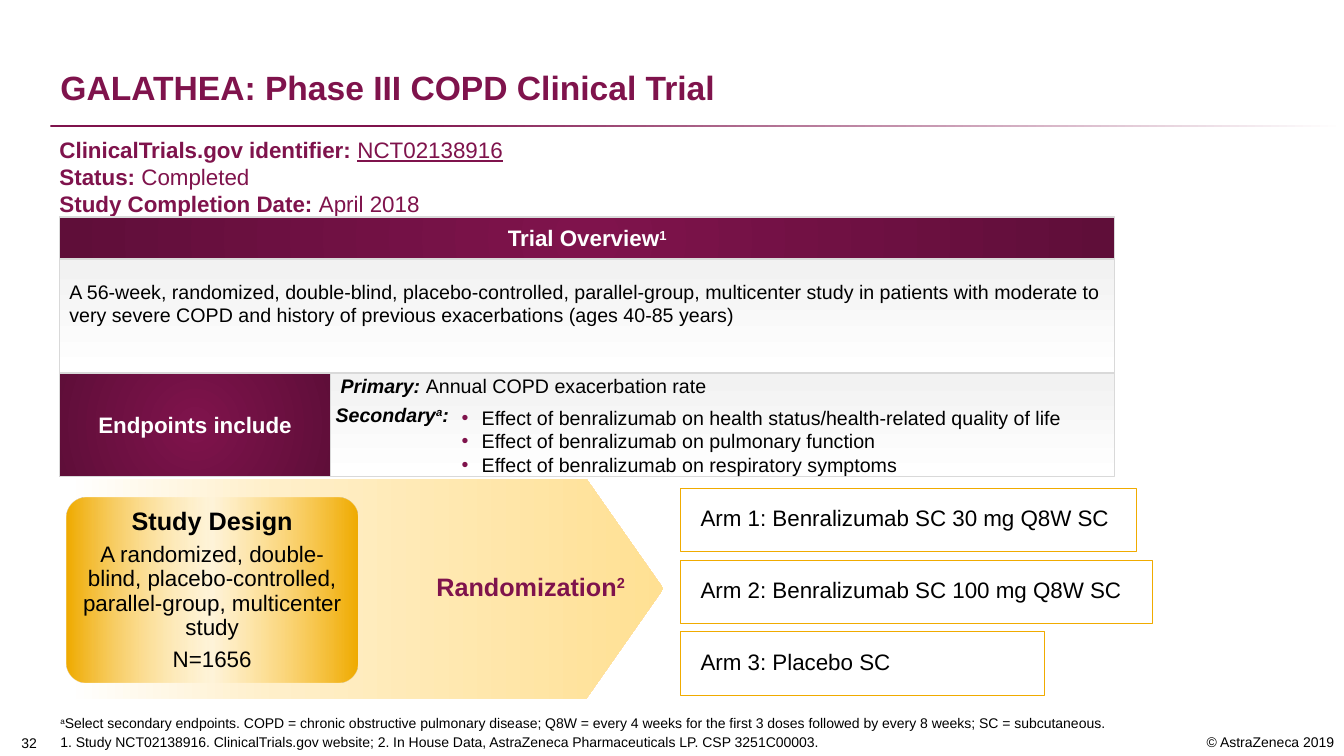
import pptx
import pptx.util
import pptx.dml.color
import pptx.enum.shapes
import pptx.enum.text
import pptx.oxml.ns
from lxml import etree

Pt = pptx.util.Pt
SHAPE = pptx.enum.shapes.MSO_SHAPE
ALIGN = pptx.enum.text.PP_ALIGN
ANCHOR = pptx.enum.text.MSO_ANCHOR
qn = pptx.oxml.ns.qn

FONT = "Arial"
COLORS = {
    "plum": "7F134C", "dark plum": "5F0E39", "gold": "F0AB00",
    "light gold": "FFD05D", "cream": "FFEFC9", "sand": "FFE093",
    "black": "000000", "white": "FFFFFF", "mist": "F2F2F2", "border": "D9D9D9",
}

# A paragraph is a list of (text, style); b bold, i italic, u underlined, ^ raised
TITLE = "GALATHEA: Phase III COPD Clinical Trial"
STUDY_FACTS = [
    [("ClinicalTrials.gov identifier: ", "b"), ("NCT02138916", "u")],
    [("Status: ", "b"), ("Completed", "")],
    [("Study Completion Date: ", "b"), ("April 2018", "")],
]
OVERVIEW_HEADING = [[("Trial Overview", "b"), ("1", "b^")]]
OVERVIEW = [[("A 56-week, randomized, double-blind, placebo-controlled, parallel-group, "
              "multicenter study in patients with moderate to very severe COPD and history "
              "of previous exacerbations (ages 40-85 years)", "")]]
ENDPOINTS_HEADING = [[("Endpoints include", "b")]]
PRIMARY = [("Primary: ", "bi"), ("Annual COPD exacerbation rate", "")]
SECONDARY_LABEL = [[("Secondary", "bi"), ("a", "bi^"), (":", "bi")]]
SECONDARY = [
    "Effect of benralizumab on health status/health-related quality of life",
    "Effect of benralizumab on pulmonary function",
    "Effect of benralizumab on respiratory symptoms",
]
DESIGN = [
    [("Study Design", "b")],
    [("A randomized, double-blind, placebo-controlled, parallel-group, "
      "multicenter study", "")],
    [("N=1656", "")],
]
RANDOMIZATION = [[("Randomization", "b"), ("2", "b^")]]
ARMS = [  # text, box width
    ("Arm 1: Benralizumab SC 30 mg Q8W SC", 326),
    ("Arm 2: Benralizumab SC 100 mg Q8W SC", 337),
    ("Arm 3: Placebo SC", 260),
]
FOOTNOTES = [
    [("a", "^"), ("Select secondary endpoints. COPD = chronic obstructive pulmonary disease; "
                  "Q8W = every 4 weeks for the first 3 doses followed by every 8 weeks; "
                  "SC = subcutaneous.", "")],
    [("1. Study NCT02138916. ClinicalTrials.gov website; 2. In House Data, "
      "AstraZeneca Pharmaceuticals LP. CSP 3251C00003.", "")],
]
PAGE_NUMBER = [[("32", "")]]
COPYRIGHT = [[("© AstraZeneca 2019", "")]]

# Gradient stops: position in percent, colour, opacity in percent
PLUM_GLOW = [(0, "plum", 100), (100, "dark plum", 100)]
MIST_FADE = [(0, "white", 100), (96, "mist", 100)]
RULE_FADE = [(26, "plum", 100), (100, "white", 100)]
ARROW_FADE = [(0, "white", 100), (35, "cream", 100), (100, "sand", 100)]
CARD_SHEEN = [(0, "gold", 100), (50, "light gold", 0), (100, "gold", 100)]

INSETS = (7.2, 3.6, 7.2, 3.6)


def rgb(name):
    return pptx.dml.color.RGBColor.from_string(COLORS[name])


def fill_gradient(shape, stops, angle=0, radial=False):
    """Fill with any number of stops, along a clockwise angle or from the centre."""
    shape.fill.gradient()
    gradient = shape.fill._xPr.find(qn("a:gradFill"))
    for child in list(gradient):
        gradient.remove(child)
    stop_list = etree.SubElement(gradient, qn("a:gsLst"))
    for position, color, opacity in stops:
        stop = etree.SubElement(stop_list, qn("a:gs"), pos=str(position * 1000))
        tint = etree.SubElement(stop, qn("a:srgbClr"), val=COLORS[color])
        if opacity < 100:
            etree.SubElement(tint, qn("a:alpha"), val=str(opacity * 1000))
    if radial:
        centre = etree.SubElement(gradient, qn("a:path"), path="circle")
        etree.SubElement(centre, qn("a:fillToRect"), l="50000", t="50000", r="50000", b="50000")
    else:
        etree.SubElement(gradient, qn("a:lin"), ang=str(angle * 60000), scaled="0")


def write(shape, paragraphs, size, color="black", align=ALIGN.LEFT, anchor=ANCHOR.MIDDLE,
          insets=INSETS, line=1.0, before=0, after=0):
    frame = shape.text_frame
    frame.word_wrap = True
    frame.vertical_anchor = anchor
    frame.margin_left, frame.margin_top, frame.margin_right, frame.margin_bottom = map(Pt, insets)
    for index, runs in enumerate(paragraphs):
        paragraph = frame.add_paragraph() if index else frame.paragraphs[0]
        paragraph.alignment = align
        paragraph.line_spacing = line
        paragraph.space_before = Pt(before if index else 0)
        paragraph.space_after = Pt(after)
        for text, style in runs:
            run = paragraph.add_run()
            run.text = text
            run.font.name, run.font.size = FONT, Pt(size)
            run.font.color.rgb = rgb(color)
            run.font.bold, run.font.italic = "b" in style, "i" in style
            run.font.underline = "u" in style
            if "^" in style:
                run._r.get_or_add_rPr().set("baseline", "30000")
    return frame.paragraphs


def add_bullet(paragraph, left, hanging):
    properties = paragraph._p.get_or_add_pPr()
    properties.set("marL", str(Pt(left)))
    properties.set("indent", str(-Pt(hanging)))
    tint = etree.SubElement(properties, qn("a:buClr"))
    etree.SubElement(tint, qn("a:srgbClr"), val=COLORS["plum"])
    etree.SubElement(properties, qn("a:buFont"), typeface=FONT)
    etree.SubElement(properties, qn("a:buChar"), char="•")


def add_block(slide, kind, box, border=None, width=1):
    block = slide.shapes.add_shape(kind, *map(Pt, box))
    block.shadow.inherit = False
    if border:
        block.line.color.rgb = rgb(border)
        block.line.width = Pt(width)
    else:
        block.line.fill.background()
    return block


def add_label(slide, box, paragraphs, size, **options):
    return write(slide.shapes.add_textbox(*map(Pt, box)), paragraphs, size, **options)


def add_header(slide):
    rule = add_block(slide, SHAPE.RECTANGLE, (36, 89.2, 924, 1.5))
    fill_gradient(rule, RULE_FADE)
    title = slide.shapes.title
    title.left, title.top, title.width, title.height = map(Pt, (36, 18, 888, 62.6))
    write(title, [[(TITLE, "b")]], 24, color="plum", anchor=ANCHOR.BOTTOM, line=0.9)
    add_label(slide, (42.5, 97.2, 702, 58.3), STUDY_FACTS, 16, color="plum",
              anchor=ANCHOR.TOP, insets=(0, 0, 0, 0))


def add_overview(slide):
    left, top, width = 42.5, 154.9, 753.8
    heading_height, summary_height, endpoints_height = 30.2, 81.3, 74.2
    label_width = 193.7
    summary_top = top + heading_height
    endpoints_top = summary_top + summary_height

    summary = add_block(slide, SHAPE.RECTANGLE, (left, summary_top, width, summary_height), "border")
    fill_gradient(summary, MIST_FADE, 270)
    write(summary, OVERVIEW, 14, insets=(7.2, 3.6, 7.2, 21.6))

    for box, heading in (
        ((left, top, width, heading_height), OVERVIEW_HEADING),
        ((left, endpoints_top, label_width, endpoints_height), ENDPOINTS_HEADING),
    ):
        band = add_block(slide, SHAPE.RECTANGLE, box, "border")
        fill_gradient(band, PLUM_GLOW, radial=True)
        write(band, heading, 16, color="white", align=ALIGN.CENTER)

    endpoints = add_block(slide, SHAPE.RECTANGLE, (left + label_width, endpoints_top,
                          width - label_width, endpoints_height), "border")
    fill_gradient(endpoints, MIST_FADE, 270)
    lines = write(endpoints, [PRIMARY] + [[(text, "")] for text in SECONDARY], 14)
    lines[1].space_before = Pt(6)
    for line in lines[1:]:
        add_bullet(line, 100.8, 14.4)
    add_label(slide, (232.6, 285.8, 119.5, 22.3), SECONDARY_LABEL, 14,
              anchor=ANCHOR.TOP, line=0.9)


def add_design(slide):
    arrow = add_block(slide, SHAPE.PENTAGON, (49, 342, 424.8, 157))
    arrow.adjustments[0] = 0.35
    fill_gradient(arrow, ARROW_FADE)
    card = add_block(slide, SHAPE.ROUNDED_RECTANGLE, (47.5, 355.7, 208.1, 131.8))
    card.adjustments[0] = 0.11
    fill_gradient(card, CARD_SHEEN)
    lines = write(card, DESIGN, 16, align=ALIGN.CENTER, insets=(7.2, 14.4, 7.2, 14.4),
                  line=0.9, after=5.6)
    lines[0].runs[0].font.size = Pt(18)
    add_label(slide, (306.7, 410.4, 144.7, 19.4), RANDOMIZATION, 18, color="plum",
              align=ALIGN.CENTER, insets=(0, 0, 0, 0), line=0.9)

    arms_left, arms_top, arm_height, arm_pitch = 486, 348.5, 45.2, 51.4
    for index, (text, width) in enumerate(ARMS):
        box = (arms_left, arms_top + index * arm_pitch, width, arm_height)
        arm = add_block(slide, SHAPE.RECTANGLE, box, "gold", 0.5)
        arm.fill.background()
        write(arm, [[(text, "")]], 16, insets=(14.4,) * 4, line=0.9)


def add_footer(slide):
    add_label(slide, (36, 460.8, 776.2, 79.2), FOOTNOTES, 10,
              anchor=ANCHOR.BOTTOM, line=0.9, before=3)
    add_label(slide, (0, 519.1, 38.2, 20.9), PAGE_NUMBER, 10, align=ALIGN.CENTER,
              anchor=ANCHOR.BOTTOM, insets=(7.2, 3.6, 3.6, 3.6))
    add_label(slide, (800, 520.6, 160, 19.4), COPYRIGHT, 10, align=ALIGN.RIGHT, anchor=ANCHOR.TOP)


def main():
    deck = pptx.Presentation()
    deck.slide_width, deck.slide_height = Pt(960), Pt(540)
    slide = deck.slides.add_slide(deck.slide_layouts[5])
    add_header(slide)
    add_overview(slide)
    add_design(slide)
    add_footer(slide)
    deck.save("out.pptx")


if __name__ == "__main__":
    main()
